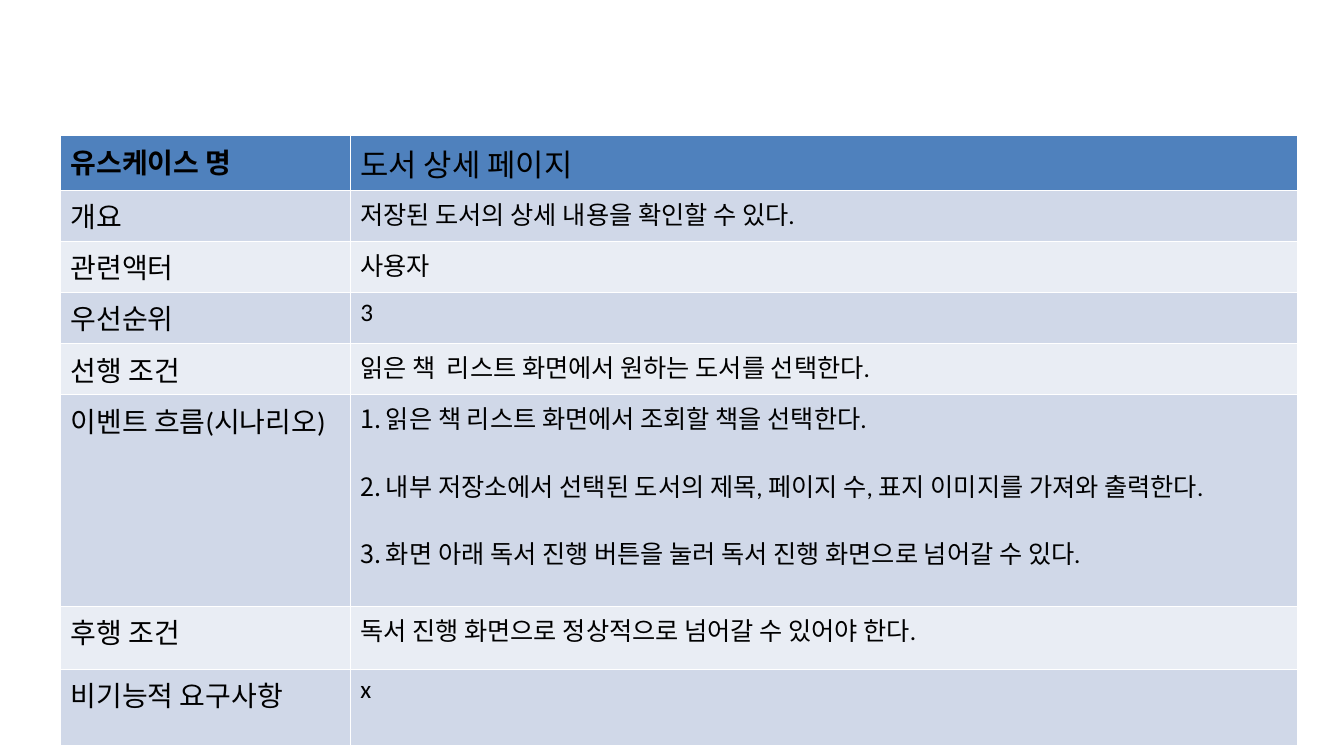
from lxml.etree import SubElement
from pptx import Presentation
from pptx.dml.color import RGBColor
from pptx.oxml.ns import qn
from pptx.util import Cm, Pt

BLACK = RGBColor(0x00, 0x00, 0x00)
HEADER_BLUE = RGBColor(0x4F, 0x81, 0xBD)
BAND_DARK = RGBColor(0xD0, 0xD8, 0xE8)
BAND_LIGHT = RGBColor(0xE9, 0xED, 0xF4)
LATIN_FONT = "Calibri"
KOREAN_FONT = "Noto Sans CJK KR"

USE_CASE = [
    ("유스케이스 명", ["도서 상세 페이지"], 2.01),
    ("개요", ["저장된 도서의 상세 내용을 확인할 수 있다."], 1.93),
    ("관련액터", ["사용자"], 1.93),
    ("우선순위", ["3"], 1.93),
    ("선행 조건", ["읽은 책  리스트 화면에서 원하는 도서를 선택한다."], 1.93),
    ("이벤트 흐름(시나리오)", [
        "읽은 책 리스트 화면에서 조회할 책을 선택한다.",
        "내부 저장소에서 선택된 도서의 제목, 페이지 수, 표지 이미지를 가져와 출력한다.",
        "화면 아래 독서 진행 버튼을 눌러 독서 진행 화면으로 넘어갈 수 있다.",
    ], 8),
    ("후행 조건", ["독서 진행 화면으로 정상적으로 넘어갈 수 있어야 한다."], 2.39),
    ("비기능적 요구사항", ["x"], 2.87),
]


class UseCaseSlide:
    """Holds the table style and the slide it is applied to."""

    label_size, header_size, detail_size = 30, 33, 27
    step_gap = 33

    def __init__(self, slide):
        self.slide = slide

    def number(self, step):
        properties = step._p.get_or_add_pPr()
        properties.set("marL", str(Cm(0.97)))
        properties.set("indent", str(-Cm(0.97)))
        SubElement(properties, qn("a:buFont"), typeface="+mj-lt")
        SubElement(properties, qn("a:buAutoNum"), type="arabicPeriod")

    def style(self, paragraph, size, bold):
        font = paragraph.font
        font.size, font.bold, font.name = Pt(size), bold, LATIN_FONT
        font.color.rgb = BLACK
        defaults = paragraph._p.pPr.find(qn("a:defRPr"))
        SubElement(defaults, qn("a:ea"), typeface=KOREAN_FONT)

    def cell(self, cell, lines, fill, size, bold=False):
        cell.fill.solid()
        cell.fill.fore_color.rgb = fill
        cell.margin_left = cell.margin_right = Cm(0.38)
        cell.margin_top = cell.margin_bottom = Cm(0.19)
        cell.text = "\n".join(lines)
        for index, paragraph in enumerate(cell.text_frame.paragraphs):
            if index:
                paragraph.space_before = Pt(self.step_gap)
            if len(lines) > 1:
                self.number(paragraph)
            self.style(paragraph, size, bold)

    def table(self, rows, left, top, widths):
        heights = [height for _, _, height in rows]
        table = self.slide.shapes.add_table(
            len(rows), len(widths), Cm(left), Cm(top), Cm(sum(widths)), Cm(sum(heights))
        ).table
        for column, width in zip(table.columns, widths):
            column.width = Cm(width)
        for index, (label, details, height) in enumerate(rows):
            is_header = index == 0
            band = BAND_DARK if index % 2 else BAND_LIGHT
            fill = HEADER_BLUE if is_header else band
            size = self.header_size if is_header else self.detail_size
            table.rows[index].height = Cm(height)
            self.cell(table.cell(index, 0), [label], fill, self.label_size, is_header)
            self.cell(table.cell(index, 1), details, fill, size)


def main():
    presentation = Presentation()
    presentation.slide_width = Cm(50.8)
    presentation.slide_height = Cm(28.58)
    blank = presentation.slide_layouts[6]
    page = UseCaseSlide(presentation.slides.add_slide(blank))
    page.table(USE_CASE, 2.29, 5.13, [10.95, 35.79])
    presentation.save("out.pptx")


if __name__ == "__main__":
    main()
